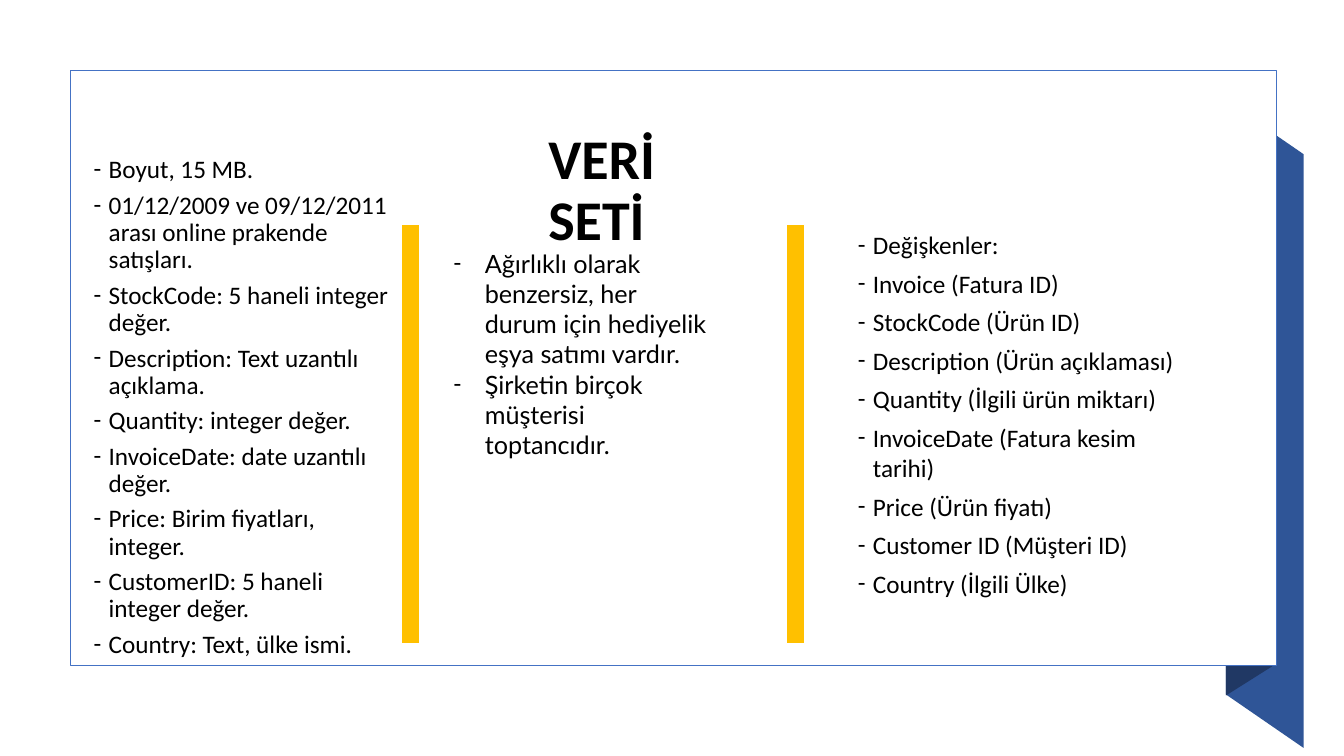
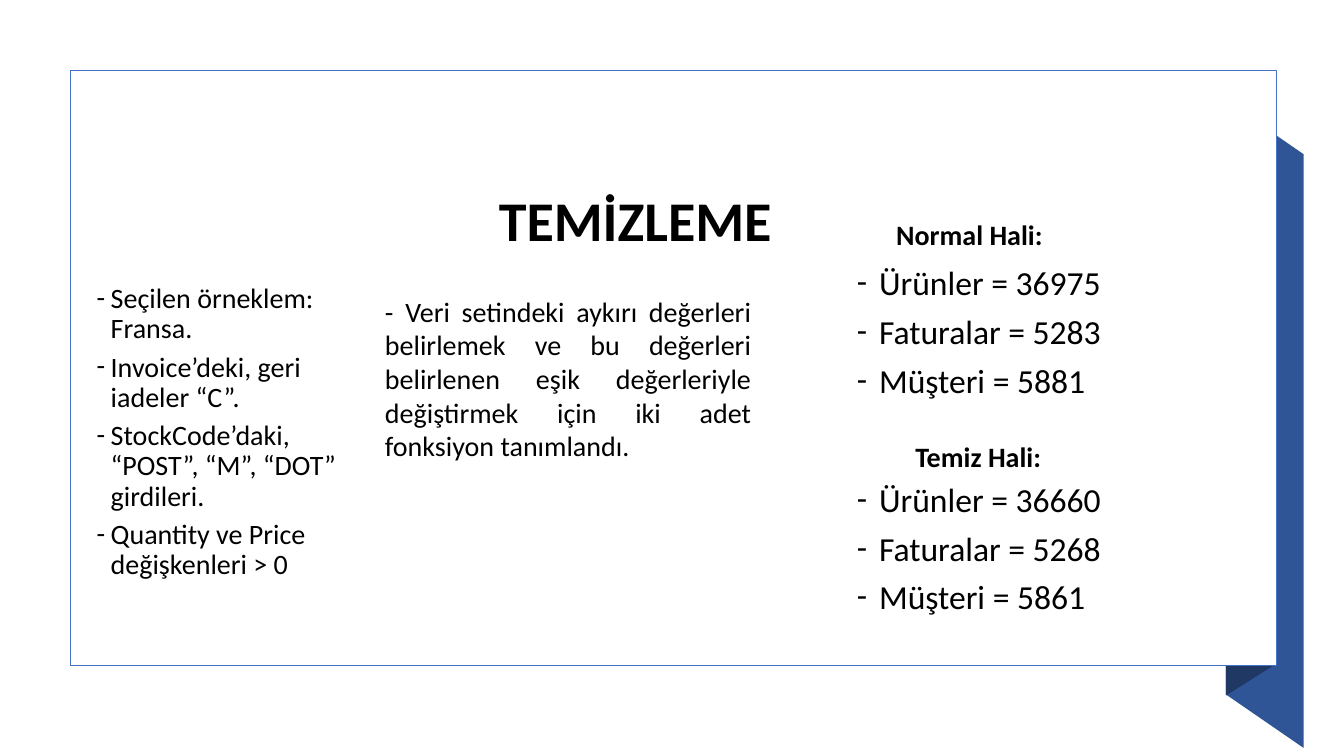
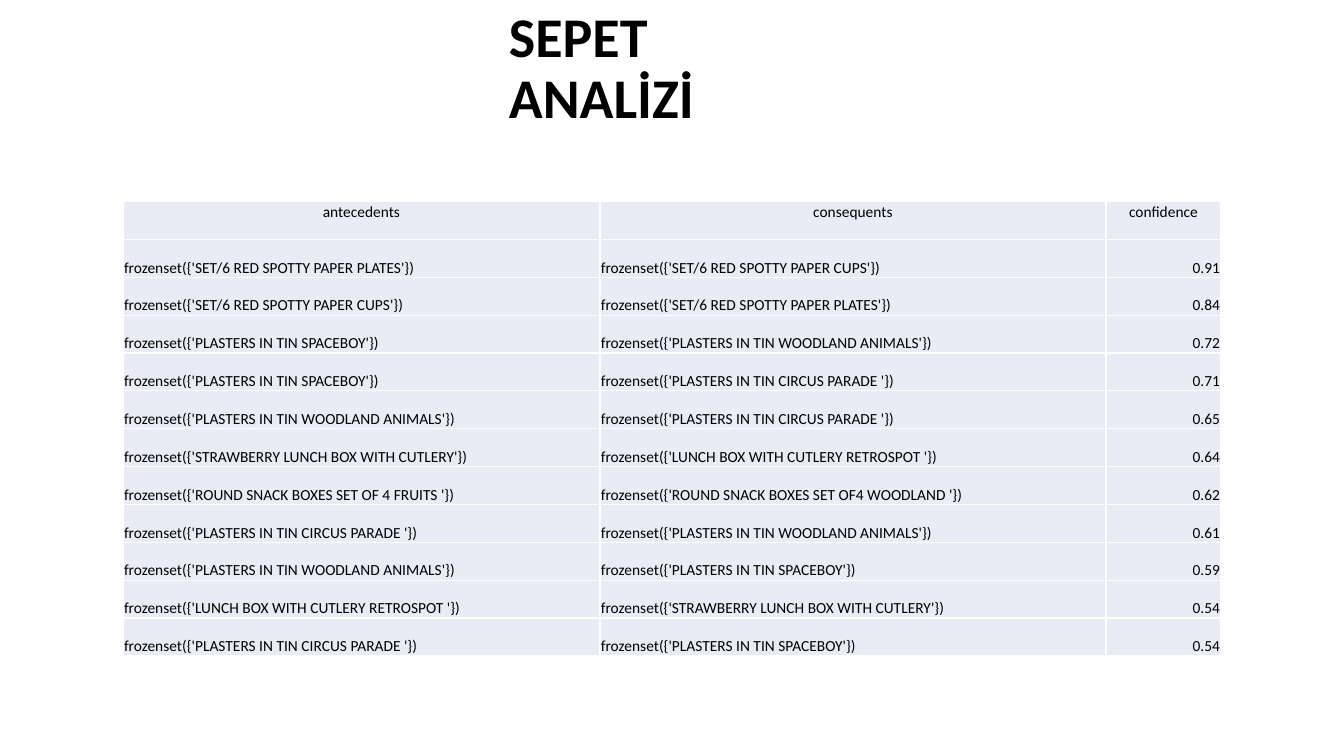
from lxml.etree import SubElement, Element
from pptx import Presentation
from pptx.dml.color import RGBColor
from pptx.enum.shapes import MSO_SHAPE as Shape
from pptx.enum.text import MSO_ANCHOR as Anchor, PP_ALIGN as Align
from pptx.oxml.ns import qn
from pptx.util import Inches, Pt

# Shared look
BLACK = RGBColor(0x00, 0x00, 0x00)
WHITE = RGBColor(0xFF, 0xFF, 0xFF)
BLUE = RGBColor(0x44, 0x72, 0xC4)
FOLD = RGBColor(0x2F, 0x55, 0x97)
NAVY = RGBColor(0x20, 0x38, 0x64)
GOLD = RGBColor(0xFF, 0xC0, 0x00)
PALE = RGBColor(0xE9, 0xEB, 0xF5)
FONT = "Calibri"

# Frame and ribbon, in inches
FRAME = (0.7, 0.7, 11.96, 5.9)
RIBBON = [
    (FOLD, [(12.93, 7.42), (12.16, 6.89), (12.16, 1), (12.93, 1.53)]),
    (NAVY, [(12.62, 6.61), (12.16, 6.9), (12.16, 1), (12.62, 0.7)]),
]

# Slide 1: data set
BARS = [(3.98, 2.23, 0.18, 4.16), (7.8, 2.23, 0.18, 4.16)]
FORMATS = [
    "Boyut, 15 MB.",
    "01/12/2009 ve 09/12/2011 arası online prakende satışları.",
    "StockCode: 5 haneli integer değer.",
    "Description: Text uzantılı açıklama.",
    "Quantity: integer değer.",
    "InvoiceDate: date uzantılı değer.",
    "Price: Birim fiyatları, integer.",
    "CustomerID: 5 haneli integer değer.",
    "Country: Text, ülke ismi.",
]
FIELDS = [
    "Değişkenler:",
    "Invoice (Fatura ID)",
    "StockCode (Ürün ID)",
    "Description (Ürün açıklaması)",
    "Quantity (İlgili ürün miktarı)",
    "InvoiceDate (Fatura kesim tarihi)",
    "Price (Ürün fiyatı)",
    "Customer ID (Müşteri ID)",
    "Country (İlgili Ülke)",
]
SALES = [
    "Ağırlıklı olarak benzersiz, her durum için hediyelik eşya satımı vardır.",
    "Şirketin birçok müşterisi toptancıdır.",
]

# Slide 2: cleaning
FILTERS = [
    "Seçilen örneklem: Fransa.",
    "Invoice’deki, geri iadeler “C”.",
    "StockCode’daki, “POST”, “M”, “DOT” girdileri.",
    "Quantity ve Price değişkenleri > 0",
]
LIMITS = [
    "- Veri setindeki aykırı değerleri belirlemek ve bu değerleri belirlenen "
    "eşik değerleriyle değiştirmek için iki adet fonksiyon tanımlandı."
]
NAMES = ["Ürünler", "Faturalar", "Müşteri"]
COUNTS = [  # heading, its left and top, top of list, values
    ("Normal Hali:", 8.79, 2.11, 2.55, [36975, 5283, 5881]),
    ("Temiz Hali:", 8.98, 4.31, 4.7, [36660, 5268, 5861]),
]

# Slide 3: basket rules
CUPS = "SET/6 RED SPOTTY PAPER CUPS"
PLATES = "SET/6 RED SPOTTY PAPER PLATES"
SPACE = "PLASTERS IN TIN SPACEBOY"
WOOD = "PLASTERS IN TIN WOODLAND ANIMALS"
CIRCUS = "PLASTERS IN TIN CIRCUS PARADE "
BERRY = "STRAWBERRY LUNCH BOX WITH CUTLERY"
RETRO = "LUNCH BOX WITH CUTLERY RETROSPOT "
FRUIT = "ROUND SNACK BOXES SET OF 4 FRUITS "
SNACK = "ROUND SNACK BOXES SET OF4 WOODLAND "
HEADS = ("antecedents", "consequents", "confidence")
RULES = [
    (PLATES, CUPS, 0.91), (CUPS, PLATES, 0.84), (SPACE, WOOD, 0.72),
    (SPACE, CIRCUS, 0.71), (WOOD, CIRCUS, 0.65), (BERRY, RETRO, 0.64),
    (FRUIT, SNACK, 0.62), (CIRCUS, WOOD, 0.61), (WOOD, SPACE, 0.59),
    (RETRO, BERRY, 0.54), (CIRCUS, SPACE, 0.54),
]
GRID = (1.22, 2, 10.9, 4.51)
COLS = (4.73, 5.02, 1.14)


def place(box):
    return [Inches(v) for v in box]


def add_run(para, text, size, bold=False, font=FONT):
    run = para.add_run()
    run.text = text
    run.font.name, run.font.size, run.font.bold = font, Pt(size), bold
    run.font.color.rgb = BLACK


def add_text(slide, box, lines, size, dash=0, line=1.0, before=0, after=0,
             bold=False, font=FONT, align=Align.LEFT, anchor=Anchor.TOP):
    """Add a text box; dash is the hanging indent of a dashed list."""
    frame = slide.shapes.add_textbox(*place(box)).text_frame
    frame.word_wrap = True
    frame.vertical_anchor = anchor
    for i, text in enumerate(lines):
        para = frame.add_paragraph() if i else frame.paragraphs[0]
        para.alignment, para.line_spacing = align, line
        para.space_before, para.space_after = Pt(before), Pt(after)
        if dash:
            props = para._p.get_or_add_pPr()
            props.set("marL", str(Inches(dash)))
            props.set("indent", str(-Inches(dash)))
            SubElement(props, qn("a:buFont"), typeface=FONT)
            SubElement(props, qn("a:buChar"), char="-")
        add_run(para, text, size, bold, font)


def add_title(slide, text, box):
    add_text(slide, box, [text], 40, line=0.9, bold=True, anchor=Anchor.MIDDLE)


def paint(shape, fill, edge=None):
    shape.shadow.inherit = False
    shape.fill.solid()
    shape.fill.fore_color.rgb = fill
    if edge is None:
        shape.line.fill.background()
    else:
        shape.line.color.rgb = edge
        shape.line.width = Pt(1)


def add_rect(slide, box, fill, edge):
    paint(slide.shapes.add_shape(Shape.RECTANGLE, *place(box)), fill, edge)


def add_frame(slide):
    for fill, points in RIBBON:
        first, *rest = [place(p) for p in points]
        form = slide.shapes.build_freeform(*first)
        form.add_line_segments(rest, close=True)
        paint(form.convert_to_shape(), fill)
    add_rect(slide, FRAME, WHITE, BLUE)


def add_edges(cell):
    props = cell._tc.get_or_add_tcPr()
    for i, side in enumerate(("lnL", "lnR", "lnT", "lnB")):
        edge = Element(qn("a:" + side), w=str(Pt(1)))
        fill = SubElement(edge, qn("a:solidFill"))
        SubElement(fill, qn("a:srgbClr"), val=str(WHITE))
        props.insert(i, edge)


def fill_cell(cell, text, align, anchor):
    cell.margin_left = cell.margin_right = cell.margin_top = Inches(0.01)
    cell.margin_bottom = 0
    cell.vertical_anchor = anchor
    cell.fill.solid()
    cell.fill.fore_color.rgb = PALE
    add_edges(cell)
    para = cell.text_frame.paragraphs[0]
    para.alignment = align
    add_run(para, text, 11)


def add_data(slide):
    add_frame(slide)
    add_title(slide, "VERİ SETİ", (5.34, 1.51, 2.2, 0.79))
    add_text(slide, (0.83, 1.51, 3.17, 5.09), FORMATS, 18,
             dash=0.15, line=0.9, before=5.9)
    add_text(slide, (8.41, 2.23, 3.33, 4.41), FIELDS, 18,
             dash=0.15, before=5.9)
    for bar in BARS:
        add_rect(slide, bar, GOLD, WHITE)
    add_text(slide, (4.4, 2.41, 2.75, 1.92), SALES, 18, dash=0.31, font="Lato")


def add_clean(slide):
    add_frame(slide)
    add_title(slide, "TEMİZLEME", (4.85, 1.82, 3.03, 0.8))
    add_text(slide, (0.86, 2.77, 2.77, 3.09), FILTERS, 20,
             dash=0.14, line=0.9, before=5.8)
    add_text(slide, (3.72, 2.87, 3.83, 1.78), LIMITS, 20,
             after=6, align=Align.JUSTIFY)
    for head, left, top, start, values in COUNTS:
        add_text(slide, (left, top, 1.67, 0.44), [head], 20, bold=True)
        lines = [f"{name} = {value}" for name, value in zip(NAMES, values)]
        add_text(slide, (8.4, start, 2.82, 1.48), lines, 24, dash=0.22, after=6)


def add_basket(slide):
    add_title(slide, "SEPET ANALİZİ", (4.95, 0.27, 3.43, 0.85))
    count = len(RULES) + 1
    table = slide.shapes.add_table(count, len(COLS), *place(GRID)).table
    table.first_row = table.horz_banding = False
    for col, width in zip(table.columns, COLS):
        col.width = Inches(width)
    for row in table.rows:
        row.height = Inches(GRID[3] / count)
    for c, head in enumerate(HEADS):
        fill_cell(table.cell(0, c), head, Align.CENTER, Anchor.TOP)
    for r, (left, right, score) in enumerate(RULES, 1):
        for c, item in enumerate((left, right)):
            fill_cell(table.cell(r, c), f"frozenset({{'{item}'}})",
                      Align.LEFT, Anchor.BOTTOM)
        fill_cell(table.cell(r, 2), f"{score:.2f}", Align.RIGHT, Anchor.BOTTOM)


def main():
    deck = Presentation()
    deck.slide_width, deck.slide_height = Inches(13.33), Inches(7.5)
    for build in (add_data, add_clean, add_basket):
        build(deck.slides.add_slide(deck.slide_layouts[6]))
    deck.save("out.pptx")


if __name__ == "__main__":
    main()
